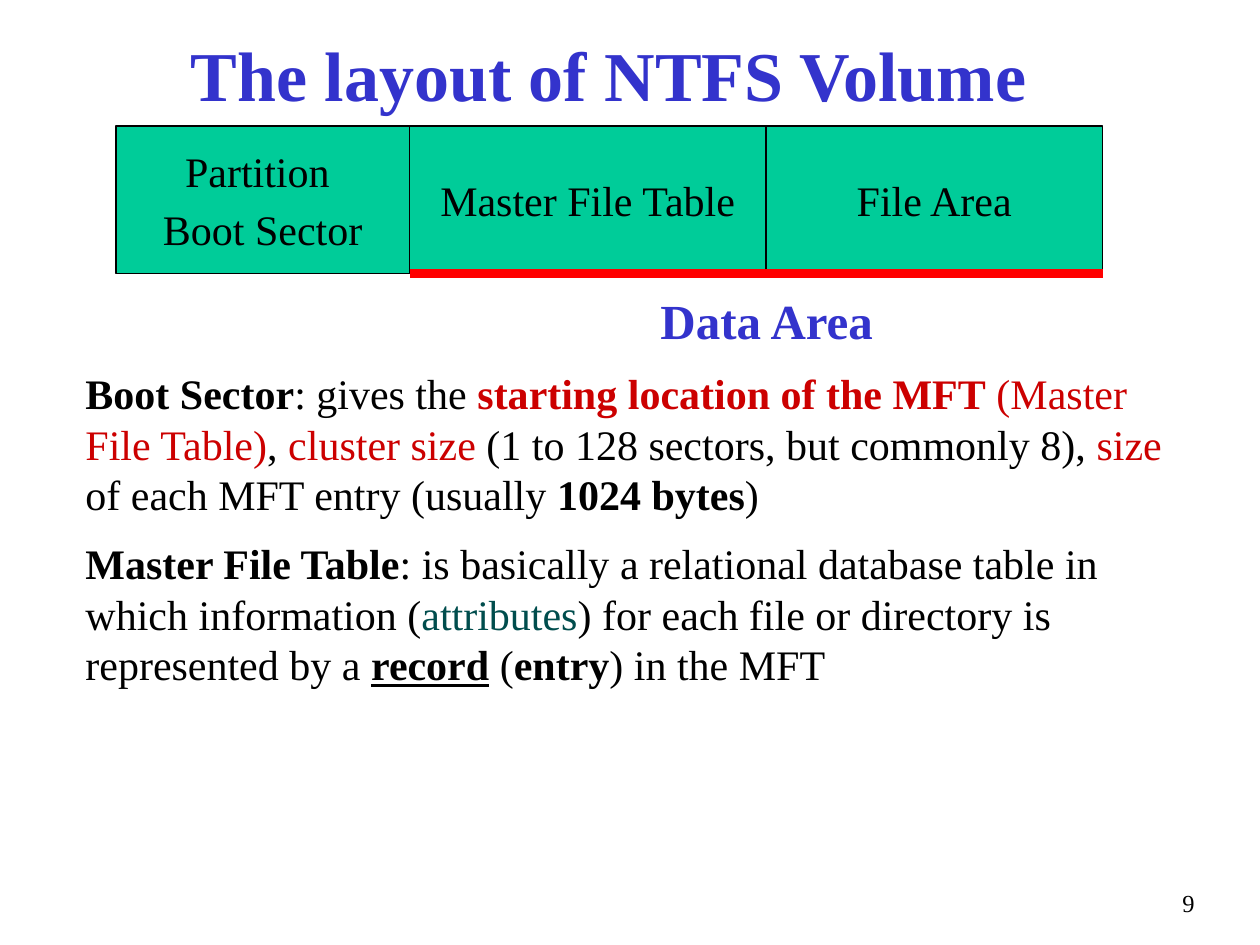
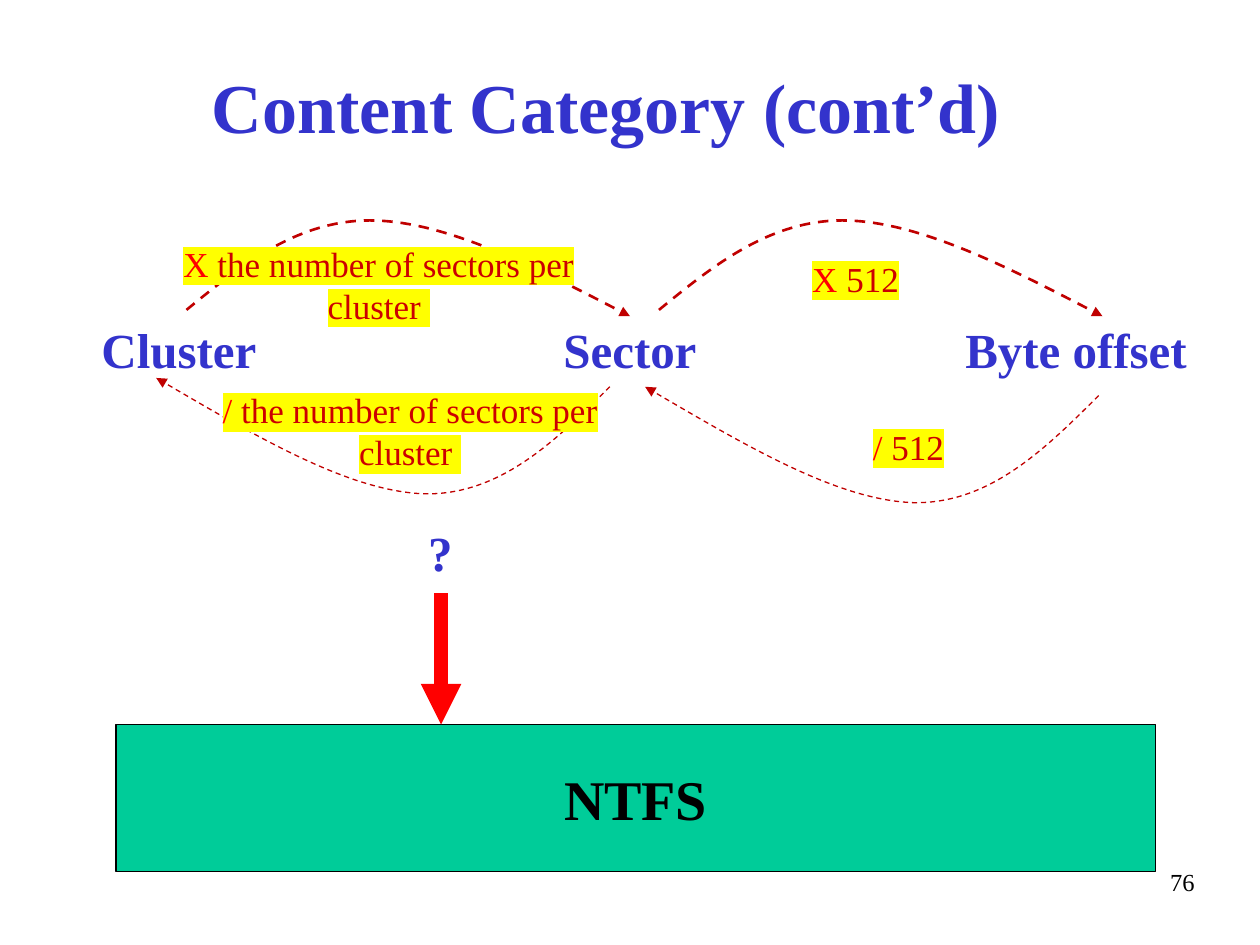
"""Build two slides on the NTFS volume layout and its address conversions."""
import lxml.etree
import pptx
import pptx.dml.color
import pptx.enum.dml
import pptx.enum.shapes
import pptx.enum.text
import pptx.oxml.ns
import pptx.util
from dataclasses import dataclass

Inches = pptx.util.Inches
Pt = pptx.util.Pt
qn = pptx.oxml.ns.qn
ALIGN = pptx.enum.text.PP_ALIGN
ANCHOR = pptx.enum.text.MSO_ANCHOR


@dataclass(frozen=True)
class Theme:
    font: str = "Times New Roman"
    heading: str = "3333CC"
    ink: str = "000000"
    block: str = "00CC99"
    key: str = "CC0000"
    teal: str = "004D4D"
    alert: str = "FF0000"
    curve: str = "C00000"
    marker: str = "FFFF00"
    title_size: int = 40
    name_size: int = 32
    label_size: int = 28
    body_size: int = 24
    note_size: int = 20
    page_size: int = 14


THEME = Theme()
BOLD = {"bold": True}
RED = {"color": THEME.key}
LABEL = {"size": THEME.label_size, "color": THEME.heading, "bold": True}

VOLUME_TITLE = ("The layout of NTFS Volume", (0.58, 0.08, 8.5, 1), "9", 7)
VOLUME_TOP, BLOCK_HEIGHT, BLOCK_LEFT = 1, 1.17, 0.92
VOLUME_PARTS = [
    (["Partition ", "Boot Sector"], 2.33),
    (["Master File Table"], 2.83),
    (["File Area"], 2.67),
]
DEFINITIONS = [
    [
        ("Boot Sector", BOLD),
        (": gives the ", {}),
        ("starting location of the MFT", RED | BOLD),
        (" (Master File Table)", RED),
        (", ", {}),
        ("cluster size ", RED),
        ("(1 to 128 sectors, but commonly 8), ", {}),
        ("size ", RED),
        ("of each MFT entry (usually ", {}),
        ("1024 bytes", BOLD),
        (")", {}),
    ],
    [
        ("Master File Table", BOLD),
        (": is basically a relational database table in which information (", {}),
        ("attributes", {"color": THEME.teal}),
        (") for each file or directory is represented by a ", {}),
        ("record", {"bold": True, "underline": True}),
        (" (", {}),
        ("entry", BOLD),
        (") in the MFT", {}),
    ],
]

CONTENT_TITLE = ("Content Category (cont’d)", (0.56, 0.5, 8.5, 0.67), "76", 6.83)
UNITS = [
    ("Sector", (4, 2.56, 2, 0.42)),
    ("Cluster", (0.42, 2.56, 2, 0.42)),
    ("Byte offset", (7.33, 2.56, 2.42, 0.42)),
    ("?", (3.12, 4.17, 0.75, 0.42)),
]
MULTIPLY = {
    "sign": "X ",
    "width": 1.5,
    "arc": [(0, 0.71), (0.44, 0.35), (0.89, -0.01), (1.48, 0),
            (2.06, 0.01), (2.79, 0.38), (3.52, 0.76)],
}
DIVIDE = {
    "sign": "/ ",
    "width": 0.75,
    "arc": [(3.6, 0.07), (3.17, 0.5), (2.73, 0.93), (2.13, 0.92),
            (1.53, 0.9), (0.77, 0.45), (0, 0)],
}
PER_CLUSTER, PER_SECTOR = "the number of sectors per cluster", "512"
CONVERSIONS = [
    (MULTIPLY, (1.48, 1.75), PER_CLUSTER, (1.09, 1.92, 3.83, 0.68)),
    (MULTIPLY, (5.23, 1.75), PER_SECTOR, (6.08, 2, 1.42, 0.42)),
    (DIVIDE, (5.12, 3.07), PER_SECTOR, (6.5, 3.33, 1.42, 0.42)),
    (DIVIDE, (1.24, 3), PER_CLUSTER, (1.34, 3.08, 3.83, 0.68)),
]


def rgb(color):
    return pptx.dml.color.RGBColor.from_string(color)


def style_run(run, size, color, bold=False, underline=False, highlight=None):
    font = run.font
    font.name, font.size, font.bold = THEME.font, Pt(size), bold
    font.underline = underline
    font.color.rgb = rgb(color)
    if highlight:
        marker = lxml.etree.Element(qn("a:highlight"))
        lxml.etree.SubElement(marker, qn("a:srgbClr"), val=highlight)
        run._r.rPr.find(qn("a:latin")).addprevious(marker)


def write(holder, paragraphs, align=ALIGN.CENTER, anchor=ANCHOR.MIDDLE, wrap=True,
          after=0, size=THEME.body_size, color=THEME.ink, **style):
    """Fill a shape with paragraphs, each a string or a list of (text, style) runs."""
    frame = holder.text_frame
    frame.word_wrap, frame.vertical_anchor = wrap, anchor
    defaults = {"size": size, "color": color} | style
    for index, content in enumerate(paragraphs):
        paragraph = frame.add_paragraph() if index else frame.paragraphs[0]
        paragraph.alignment = align
        paragraph.space_after = Pt(after)
        paragraph.space_before = Pt(0.2 * size if index else 0)
        runs = [(content, {})] if isinstance(content, str) else content
        for text, changes in runs:
            run = paragraph.add_run()
            run.text = text
            style_run(run, **(defaults | changes))


def add_text(slide, place, paragraphs, **style):
    write(slide.shapes.add_textbox(*map(Inches, place)), paragraphs, **style)


def add_block(slide, place, paragraphs, **style):
    block = slide.shapes.add_shape(
        pptx.enum.shapes.MSO_SHAPE.RECTANGLE, *map(Inches, place))
    block.shadow.inherit = False
    block.fill.solid()
    block.fill.fore_color.rgb = rgb(THEME.block)
    set_line(block.line, THEME.ink, 0.75)
    write(block, paragraphs, wrap=False, **style)


def set_line(line, color, width, arrow=False):
    line.color.rgb = rgb(color)
    line.width = Pt(width)
    if arrow:
        lxml.etree.SubElement(line._get_or_add_ln(), qn("a:tailEnd"), type="triangle")


def add_line(slide, start, end, width, arrow=False):
    rule = slide.shapes.add_connector(
        pptx.enum.shapes.MSO_CONNECTOR.STRAIGHT, *map(Inches, start + end))
    set_line(rule.line, THEME.alert, width, arrow)
    lxml.etree.SubElement(rule._element.spPr, qn("a:effectLst"))


def add_curve(slide, corner, arc, width):
    """Draw a dashed arrow whose points are a start and triples of Bezier points."""
    left, top = corner
    points = [(Inches(left + x), Inches(top + y)) for x, y in arc]
    builder = slide.shapes.build_freeform(*points[0])
    builder.add_line_segments(points[1:], close=False)
    curve = builder.convert_to_shape()
    segments = list(curve._element.iter(qn("a:lnTo")))
    for first in range(0, len(segments), 3):
        bezier = lxml.etree.Element(qn("a:cubicBezTo"))
        segments[first].addprevious(bezier)
        for segment in segments[first:first + 3]:
            bezier.append(segment[0])
            segment.getparent().remove(segment)
    curve.shadow.inherit = False
    curve.fill.background()
    curve.line.dash_style = pptx.enum.dml.MSO_LINE.DASH
    set_line(curve.line, THEME.curve, width, arrow=True)


def add_slide(deck, title, title_place, page, page_top):
    slide = deck.slides.add_slide(deck.slide_layouts[6])
    add_text(slide, title_place, [title], size=THEME.title_size,
             color=THEME.heading, bold=True)
    add_text(slide, (8.74, page_top, 0.84, 0.5), [page], size=THEME.page_size,
             align=ALIGN.RIGHT, anchor=ANCHOR.TOP)
    return slide


def build_volume(deck):
    slide = add_slide(deck, *VOLUME_TITLE)
    add_text(slide, (0.58, 2.87, 8.85, 2.69), DEFINITIONS,
             align=ALIGN.LEFT, anchor=ANCHOR.TOP, after=6)
    left = BLOCK_LEFT
    for part, width in VOLUME_PARTS:
        add_block(slide, (left, VOLUME_TOP, width, BLOCK_HEIGHT), part)
        left += width
    data_left = BLOCK_LEFT + VOLUME_PARTS[0][1]
    bottom = VOLUME_TOP + BLOCK_HEIGHT
    add_line(slide, (data_left, bottom), (left, bottom), 5.25)
    add_text(slide, (4.5, 2.33, 3.17, 0.42), ["Data Area"], **LABEL)


def build_content(deck):
    slide = add_slide(deck, *CONTENT_TITLE)
    add_block(slide, (BLOCK_LEFT, 5.75, 8.25, BLOCK_HEIGHT), ["NTFS"],
              size=THEME.name_size, bold=True)
    add_line(slide, (3.5, 4.71), (3.5, 5.75), 7.75, arrow=True)
    for unit, place in UNITS:
        add_text(slide, place, [unit], **LABEL)
    for operation, corner, factor, place in CONVERSIONS:
        add_curve(slide, corner, operation["arc"], operation["width"])
        formula = [(operation["sign"], {}), (factor, RED)]
        if factor == PER_CLUSTER:
            formula.append((" ", BOLD))
        add_text(slide, place, [formula], size=THEME.note_size,
                 color=THEME.alert, highlight=THEME.marker)


def main():
    deck = pptx.Presentation()
    deck.slide_width, deck.slide_height = Inches(10), Inches(7.5)
    build_volume(deck)
    build_content(deck)
    deck.save("out.pptx")


if __name__ == "__main__":
    main()
